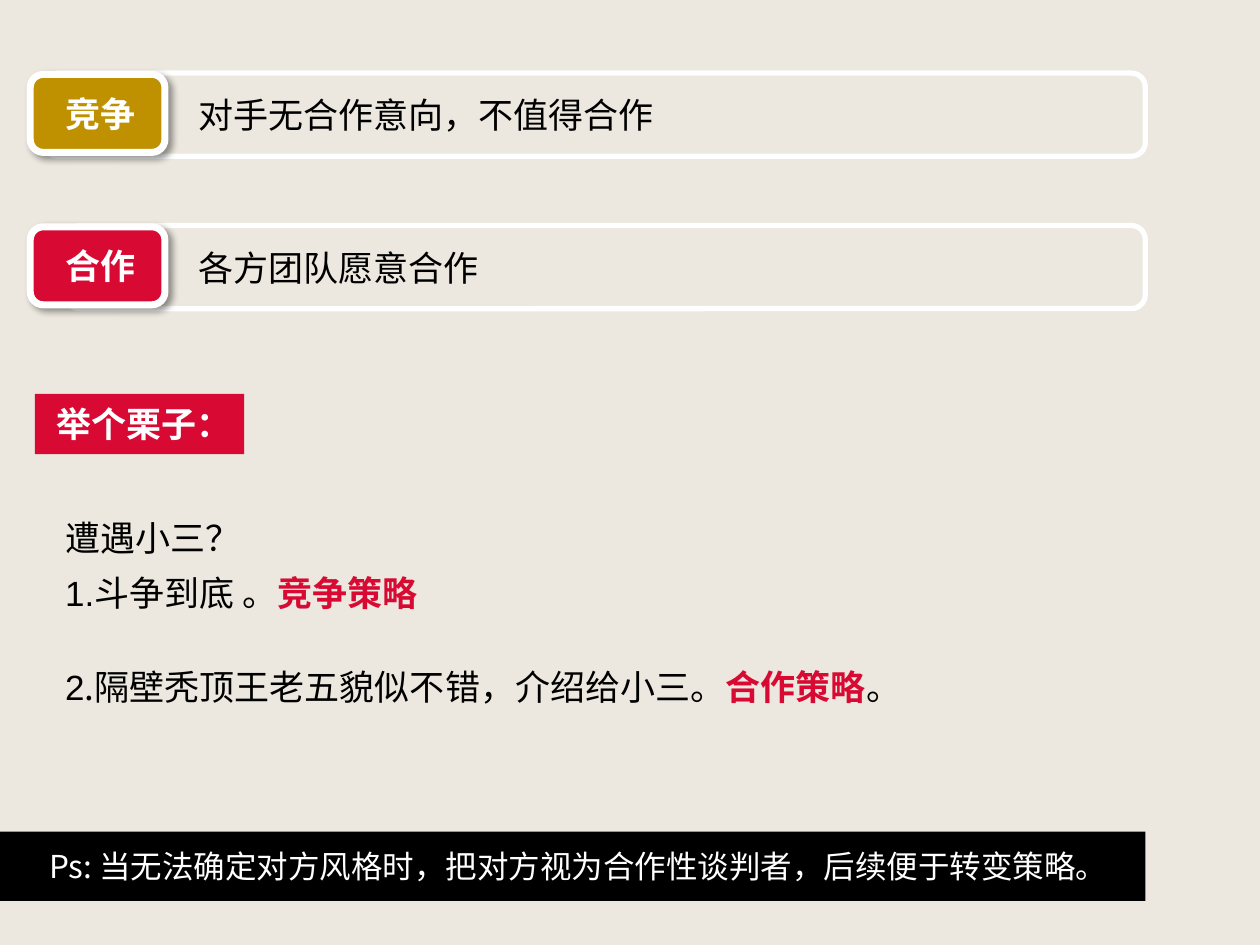
from lxml.etree import SubElement
from pptx import Presentation
from pptx.dml.color import RGBColor
from pptx.enum.shapes import MSO_SHAPE
from pptx.enum.text import MSO_ANCHOR, PP_ALIGN
from pptx.oxml.ns import qn
from pptx.util import Pt

BEIGE = RGBColor(0xEC, 0xE8, 0xDF)
GOLD = RGBColor(0xBF, 0x90, 0x00)
RED = RGBColor(0xD8, 0x0A, 0x33)
BLACK = RGBColor(0, 0, 0)
WHITE = RGBColor(0xFF, 0xFF, 0xFF)
CJK = "Noto Sans CJK SC"


def add_shape(kind, left, top, width, height, fill=None, line_width=0, inset=0):
    """Add a shape without shadow, with a white outline if line_width is set."""
    sp = s.shapes.add_shape(kind, Pt(left), Pt(top), Pt(width), Pt(height))
    sp.shadow.inherit = False
    if fill is None:
        sp.fill.background()
    else:
        sp.fill.solid()
        sp.fill.fore_color.rgb = fill
    if line_width:
        sp.line.color.rgb = WHITE
        sp.line.width = Pt(line_width)
    else:
        sp.line.fill.background()
    tf = sp.text_frame
    tf.vertical_anchor = MSO_ANCHOR.MIDDLE
    tf.margin_left, tf.margin_right = Pt(inset), 0
    tf.paragraphs[0].alignment = PP_ALIGN.LEFT
    return sp


def add_run(p, text, color, size=20, bold=False, font=CJK):
    r = p.add_run()
    r.text = text
    r.font.size = Pt(size)
    r.font.bold = bold
    r.font.color.rgb = color
    r.font.name = font
    SubElement(r.font._element, qn("a:ea")).set("typeface", CJK)


prs = Presentation()
prs.slide_width, prs.slide_height = Pt(720), Pt(540)
s = prs.slides.add_slide(prs.slide_layouts[6])
s.background.fill.solid()
s.background.fill.fore_color.rgb = BEIGE

# Two strategies: an outlined row with a coloured badge on its left end
RIGHT, TEXT_LEFT, ROW_TOP, ROW_PITCH = 654.5, 111, 41.8, 87.1
strategies = [
    ("竞争", "对手无合作意向，不值得合作", GOLD, 25.2),
    ("合作", "各方团队愿意合作", RED, 37.4),
]
for i, (name, condition, color, left) in enumerate(strategies):
    top = ROW_TOP + i * ROW_PITCH
    row = add_shape(MSO_SHAPE.ROUNDED_RECTANGLE, left, top, RIGHT - left, 47.5,
                    line_width=3, inset=TEXT_LEFT - left)
    add_run(row.text_frame.paragraphs[0], condition, BLACK)

    badge = add_shape(MSO_SHAPE.ROUNDED_RECTANGLE, 17.3, top + 0.7, 77, 44.6,
                      fill=color, line_width=4, inset=3)
    p = badge.text_frame.paragraphs[0]
    p.alignment = PP_ALIGN.CENTER
    add_run(p, name, WHITE, bold=True)
    effects = badge._element.spPr.find(qn("a:effectLst"))
    shadow = SubElement(effects, qn("a:outerShdw"), blurRad=str(Pt(4)),
                        dist=str(Pt(3)), dir="2700000", algn="tl", rotWithShape="0")
    shadow_color = SubElement(shadow, qn("a:srgbClr"), val="000000")
    SubElement(shadow_color, qn("a:alpha"), val="40000")

# Example heading
add_shape(MSO_SHAPE.RECTANGLE, 20, 225, 119.5, 34.5, fill=RED)
tb = s.shapes.add_textbox(Pt(25), Pt(226.6), Pt(130), Pt(31.7))
tb.text_frame.word_wrap = True
add_run(tb.text_frame.paragraphs[0], "举个栗子：", WHITE, bold=True)

# Example text
tb = s.shapes.add_textbox(Pt(30.2), Pt(284.4), Pt(648.7), Pt(126))
tf = tb.text_frame
tf.word_wrap = True
p = tf.paragraphs[0]
p.line_spacing = 1.3
add_run(p, "遭遇小三？", BLACK, font="Arial")

p = tf.add_paragraph()
p.line_spacing = 1.3
add_run(p, "1.斗争到底 。", BLACK, font="Arial")
add_run(p, "竞争策略", RED, bold=True)

p = tf.add_paragraph()
p.line_spacing = 1.3
p.space_before = Pt(23)
add_run(p, "2", BLACK, font="Arial")
add_run(p, ".隔壁秃顶王老五貌似不错，介绍给小三。", BLACK)
add_run(p, "合作策略", RED, bold=True)
add_run(p, "。", BLACK)

# Closing remark
bar = add_shape(MSO_SHAPE.RECTANGLE, 0, 475.2, RIGHT, 39.6, fill=BLACK, inset=28)
add_run(bar.text_frame.paragraphs[0],
        "Ps: 当无法确定对方风格时，把对方视为合作性谈判者，后续便于转变策略。",
        WHITE, size=18)

prs.save("out.pptx")
